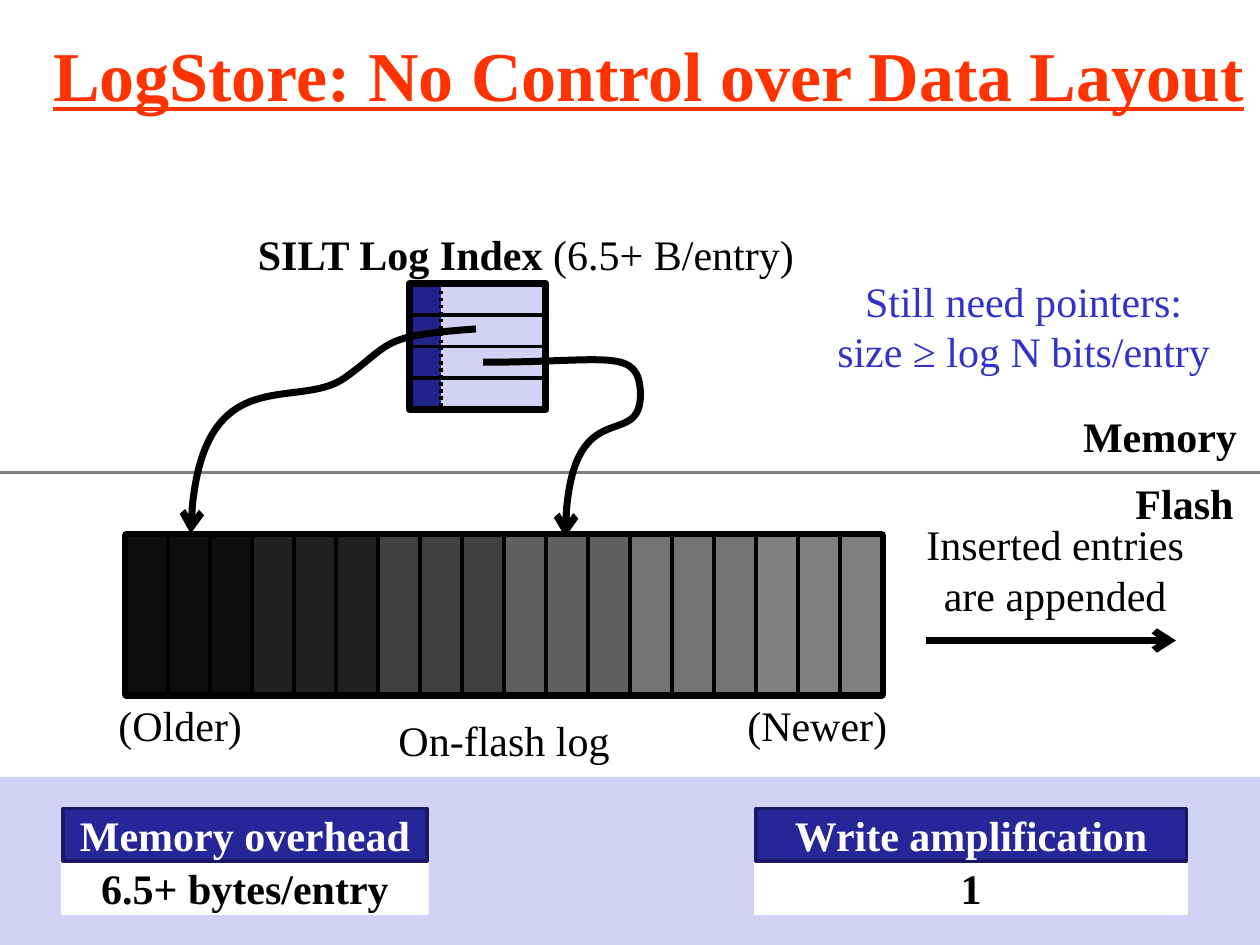
from lxml.etree import SubElement
from pptx import Presentation
from pptx.dml.color import RGBColor
from pptx.enum.dml import MSO_LINE
from pptx.enum.shapes import MSO_CONNECTOR, MSO_SHAPE
from pptx.enum.text import MSO_ANCHOR, MSO_AUTO_SIZE, PP_ALIGN
from pptx.oxml.ns import qn
from pptx.util import Pt

BLACK, WHITE, LAVENDER = "000000", "FFFFFF", "D2D2F4"


def rgb(value):
    return RGBColor.from_string(value)


def write(tf, text, size=24, color=BLACK, bold=False, underline=False,
          align=PP_ALIGN.CENTER):
    tf.word_wrap = True
    tf.auto_size = MSO_AUTO_SIZE.NONE
    tf.vertical_anchor = MSO_ANCHOR.MIDDLE
    p = tf.paragraphs[0]
    p.alignment = align
    for i, line in enumerate(text.split("\n")):
        if i:
            p.add_line_break()
        r = p.add_run()
        r.text = line
        r.font.name = "Times New Roman"
        r.font.size = Pt(size)
        r.font.bold = bold
        r.font.underline = underline
        r.font.color.rgb = rgb(color)


class Canvas:
    def __init__(self, slide):
        self.s = slide

    def stroke(self, sp, color, width, arrow=False):
        sp.line.color.rgb = rgb(color)
        sp.line.width = Pt(width)
        if arrow:
            SubElement(sp.line._get_or_add_ln(), qn("a:tailEnd"), type="arrow")

    def title(self, text, x, y, w, h, **fmt):
        sp = self.s.shapes.title
        sp.left, sp.top, sp.width, sp.height = Pt(x), Pt(y), Pt(w), Pt(h)
        write(sp.text_frame, text, **fmt)

    def rect(self, x, y, w, h, fill=None, line=None, width=2):
        sp = self.s.shapes.add_shape(MSO_SHAPE.RECTANGLE, Pt(x), Pt(y), Pt(w), Pt(h))
        sp.shadow.inherit = False
        if fill:
            sp.fill.solid()
            sp.fill.fore_color.rgb = rgb(fill)
        else:
            sp.fill.background()
        if line:
            self.stroke(sp, line, width)
        else:
            sp.line.fill.background()
        return sp

    def label(self, text, x, y, w, h, **fmt):
        tf = self.s.shapes.add_textbox(Pt(x), Pt(y), Pt(w), Pt(h)).text_frame
        write(tf, text, **fmt)
        return tf

    def line(self, x1, y1, x2, y2, color=BLACK, width=2, arrow=False):
        c = self.s.shapes.add_connector(
            MSO_CONNECTOR.STRAIGHT, Pt(x1), Pt(y1), Pt(x2), Pt(y2))
        self.stroke(c, color, width, arrow)
        SubElement(c._element.spPr, qn("a:effectLst"))
        return c

    def curve(self, start, *points):
        fb = self.s.shapes.build_freeform(*start, scale=Pt(1))
        fb.add_line_segments(points, close=False)
        sp = fb.convert_to_shape()
        sp.shadow.inherit = False
        sp.fill.background()
        self.stroke(sp, BLACK, 4, arrow=True)
        path = sp._element.find(".//" + qn("a:path"))
        segments = path.findall(qn("a:lnTo"))
        for i in range(0, len(segments), 3):
            bezier = SubElement(path, qn("a:cubicBezTo"))
            for segment in segments[i:i + 3]:
                bezier.append(segment[0])
                path.remove(segment)

    def metric(self, heading, value, x, w):
        for text, y, fill, line, color in (
                (value, 492, WHITE, WHITE, BLACK),
                (heading, 462, "262699", "191966", WHITE)):
            sp = self.rect(x, y, w, 30, fill, line)
            write(sp.text_frame, text, color=color, bold=True)


def main():
    prs = Presentation()
    prs.slide_width, prs.slide_height = Pt(720), Pt(540)
    s = prs.slides.add_slide(prs.slide_layouts[5])
    c = Canvas(s)

    c.title("LogStore: No Control over Data Layout", 3, 18, 735, 48,
            size=40, color="FF3300", bold=True, underline=True)
    c.line(0, 270, 720, 270, "7F7F7F", 1.5)

    x, y, w, h = 234, 162, 78, 72
    index = c.rect(x, y, w, h, LAVENDER)
    c.rect(x, y, 18, h, "22228B")
    rows = [c.line(x, y + i * 18, x + w, y + i * 18) for i in (1, 2, 3)]
    rows[1].begin_connect(index, 1)
    rows[1].end_connect(index, 3)
    divider = c.line(x + 18, y, x + 18, y + h)
    divider.line.dash_style = MSO_LINE.ROUND_DOT
    c.rect(x, y, w, h, line=BLACK, width=4)

    c.rect(0, 444, 720, 96, LAVENDER)
    c.metric("Memory overhead", "6.5+ bytes/entry", 36, 208)
    c.metric("Write amplification", "1", 432, 246)

    c.line(529, 366, 672, 366, width=4, arrow=True)
    c.label("Inserted entries are appended", 516, 294, 174, 62.5)
    c.label("On-flash log", 192, 408, 192, 30)
    c.curve((276.5, 207.4), (348.5, 207.4), (365, 198), (365.8, 224.6),
            (366.5, 257.8), (324, 219.6), (323.3, 306.7))
    c.label("Memory", 606, 234, 108, 30, bold=True, align=PP_ALIGN.RIGHT)
    c.label("Flash", 599, 275, 113, 24, bold=True, align=PP_ALIGN.RIGHT)
    c.label("Still need pointers:\nsize ≥ log N bits/entry", 456, 138, 258, 96,
            color="3333CC")
    c.curve((272, 188), (216, 191.5), (224.6, 195.8), (197.3, 216),
            (170, 235.4), (111.6, 202.3), (109.4, 305.3))

    c.rect(72, 306, 432, 90.7, line=BLACK, width=5)
    shades = ["0D0D0D", "202020", "404040", "606060", "737373", "808080"]
    for i in range(18):
        c.rect(72 + i * 24, 306, 24, 90.7, shades[i // 3], BLACK)

    tf = c.label("SILT Log Index", 109.5, 128, 382, 34, bold=True)
    write(tf, " (6.5+ B/entry)")
    c.label("(Older)", 14, 399, 178, 30)
    c.label("(Newer)", 378, 399, 178, 30)

    prs.save("out.pptx")


if __name__ == "__main__":
    main()
